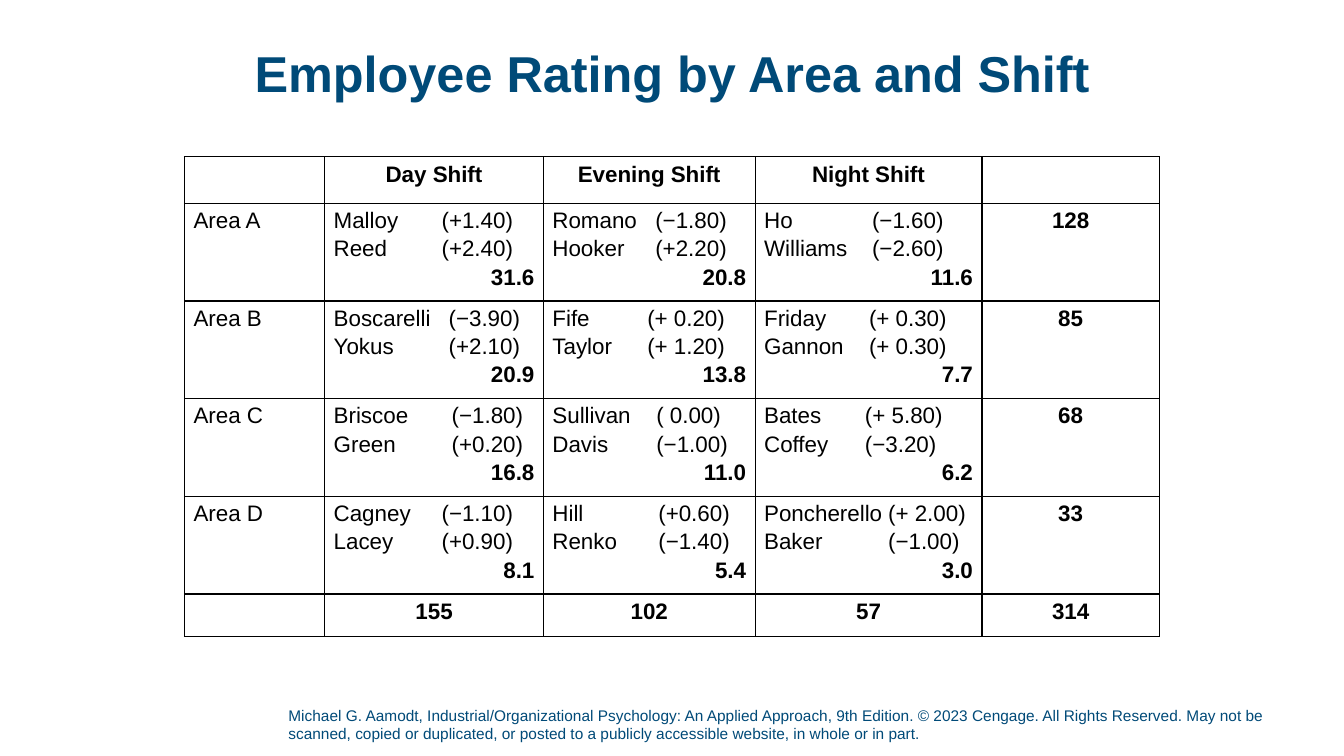
"""Build the slide on employee ratings by area and shift."""
from lxml import etree
from pptx import Presentation, util as u
from pptx.dml.color import RGBColor
from pptx.enum import text as t
from pptx.oxml import ns

WIDTH, HEIGHT = u.Inches(13.33), u.Inches(7.5)
COLORS = {"brand": "004A78", "ink": "000000"}
FONT = "Arial"
TITLE = "Employee Rating by Area and Shift"
CREDIT = (
    "Michael G. Aamodt, Industrial/Organizational Psychology: An Applied Approach, "
    "9th Edition. © 2023 Cengage. All Rights Reserved. May not be scanned, copied or "
    "duplicated, or posted to a publicly accessible website, in whole or in part."
)
COLUMN_SHARES = [139, 217, 210, 225, 176]
ROW_SHARES = [46, 93, 93, 93, 93, 42]
CELL_INSETS = {"margin_left": 0.09, "margin_right": 0.09,
               "margin_top": 0.05, "margin_bottom": 0.05}
SHIFTS = ["Day Shift", "Evening Shift", "Night Shift"]
SHIFT_TOTALS = ["155", "102", "57", "314"]
# Each team: rating column in inches, two officers with ratings, score.
AREAS = [
    ("Area A", [(1.07, "Malloy\t(+1.40)", "Reed\t(+2.40)", "31.6"),
                (1.02, "Romano\t(−1.80)", "Hooker\t(+2.20)", "20.8"),
                (1.07, "Ho\t(−1.60)", "Williams\t(−2.60)", "11.6")], "128"),
    ("Area B", [(1.14, "Boscarelli\t(−3.90)", "Yokus\t(+2.10)", "20.9"),
                (0.94, "Fife\t(+ 0.20)", "Taylor\t(+ 1.20)", "13.8"),
                (1.04, "Friday\t(+ 0.30)", "Gannon\t(+ 0.30)", "7.7")], "85"),
    ("Area C", [(1.17, "Briscoe\t(−1.80)", "Green\t(+0.20)", "16.8"),
                (1.03, "Sullivan\t( 0.00)", "Davis\t(−1.00)", "11.0"),
                (1.0, "Bates\t(+ 5.80)", "Coffey\t(−3.20)", "6.2")], "68"),
    ("Area D", [(1.07, "Cagney\t(−1.10)", "Lacey\t(+0.90)", "8.1"),
                (1.05, "Hill\t(+0.60)", "Renko\t(−1.40)", "5.4"),
                (1.23, "Poncherello\t(+ 2.00)", "Baker\t(−1.00)", "3.0")], "33"),
]


def box(left, top, width, height):
    """Turn percentages of the slide into lengths."""
    return (int(WIDTH * left / 100), int(HEIGHT * top / 100),
            int(WIDTH * width / 100), int(HEIGHT * height / 100))


def write(paragraph, words, size, color, bold=False, **formats):
    """Write one formatted run into a paragraph."""
    for key, value in formats.items():
        setattr(paragraph, key, value)
    run = paragraph.add_run()
    run.text = words
    for key, value in {"name": FONT, "size": u.Pt(size), "bold": bold}.items():
        setattr(run.font, key, value)
    run.font.color.rgb = RGBColor.from_string(COLORS[color])


def add_text(slide, area, words, size, anchor, bottom=0, **formats):
    """Place a wrapped text box in the given area."""
    frame = slide.shapes.add_textbox(*area).text_frame
    settings = {"word_wrap": True, "vertical_anchor": anchor, "margin_left": 0,
                "margin_right": 0, "margin_top": 0, "margin_bottom": u.Inches(bottom)}
    for key, value in settings.items():
        setattr(frame, key, value)
    write(frame.paragraphs[0], words, size, "brand", **formats)


def outline(cell):
    """Give a cell thin borders, no fill and its insets."""
    properties = cell._tc.get_or_add_tcPr()
    for side in ("lnL", "lnR", "lnT", "lnB"):
        line = etree.SubElement(properties, ns.qn(f"a:{side}"), w=str(u.Pt(1)))
        fill = etree.SubElement(line, ns.qn("a:solidFill"))
        etree.SubElement(fill, ns.qn("a:srgbClr"), val=COLORS["ink"])
    cell.fill.background()
    for key, value in CELL_INSETS.items():
        setattr(cell, key, u.Inches(value))


def add_label(cell, words, bold=True):
    """Write a centred bold figure or a plain row label."""
    align = t.PP_ALIGN.CENTER if bold else t.PP_ALIGN.LEFT
    write(cell.text_frame.paragraphs[0], words, 16, "ink", bold, alignment=align)


def add_team(cell, rating_column, *lines):
    """List the officers of a team with aligned ratings above its score."""
    frame = cell.text_frame
    for index, line in enumerate(lines):
        paragraph = frame.add_paragraph() if index else frame.paragraphs[0]
        formats = {"space_before": u.Pt(2.5)} if index else {}
        is_score = "\t" not in line
        if is_score:
            formats["alignment"] = t.PP_ALIGN.RIGHT
        else:
            tabs = etree.SubElement(paragraph._p.get_or_add_pPr(), ns.qn("a:tabLst"))
            etree.SubElement(tabs, ns.qn("a:tab"),
                             pos=str(u.Inches(rating_column)), algn="l")
        write(paragraph, line, 16, "ink", is_score, **formats)


def add_ratings(slide, area):
    """Fill the given area with the table of areas and shifts."""
    ratings = slide.shapes.add_table(len(ROW_SHARES), len(COLUMN_SHARES), *area).table
    ratings.first_row = ratings.horz_banding = False
    for column, share in zip(ratings.columns, COLUMN_SHARES):
        column.width = int(area[2] * share / sum(COLUMN_SHARES))
    for row, share in zip(ratings.rows, ROW_SHARES):
        row.height = int(area[3] * share / sum(ROW_SHARES))
    for cell in ratings.iter_cells():
        outline(cell)
    for row, labels in ((0, SHIFTS), (len(AREAS) + 1, SHIFT_TOTALS)):
        for column, label in enumerate(labels, 1):
            add_label(ratings.cell(row, column), label)
    for row, (name, teams, total) in enumerate(AREAS, 1):
        add_label(ratings.cell(row, 0), name, bold=False)
        for column, team in enumerate(teams, 1):
            add_team(ratings.cell(row, column), *team)
        add_label(ratings.cell(row, len(SHIFTS) + 1), total)


def main():
    """Build and save the presentation."""
    deck = Presentation()
    deck.slide_width, deck.slide_height = WIDTH, HEIGHT
    slide = deck.slides.add_slide(deck.slide_layouts[6])
    add_text(slide, box(21.46, 93.33, 77.57, 5.6), CREDIT, 11,
             t.MSO_ANCHOR.BOTTOM, bottom=0.05)
    add_text(slide, box(6.9, 2.27, 86.27, 15.73), TITLE, 36, t.MSO_ANCHOR.MIDDLE,
             bold=True, alignment=t.PP_ALIGN.CENTER, line_spacing=0.9)
    add_ratings(slide, box(13.73, 20.75, 72.54, 61.33))
    deck.save("out.pptx")


if __name__ == "__main__":
    main()
